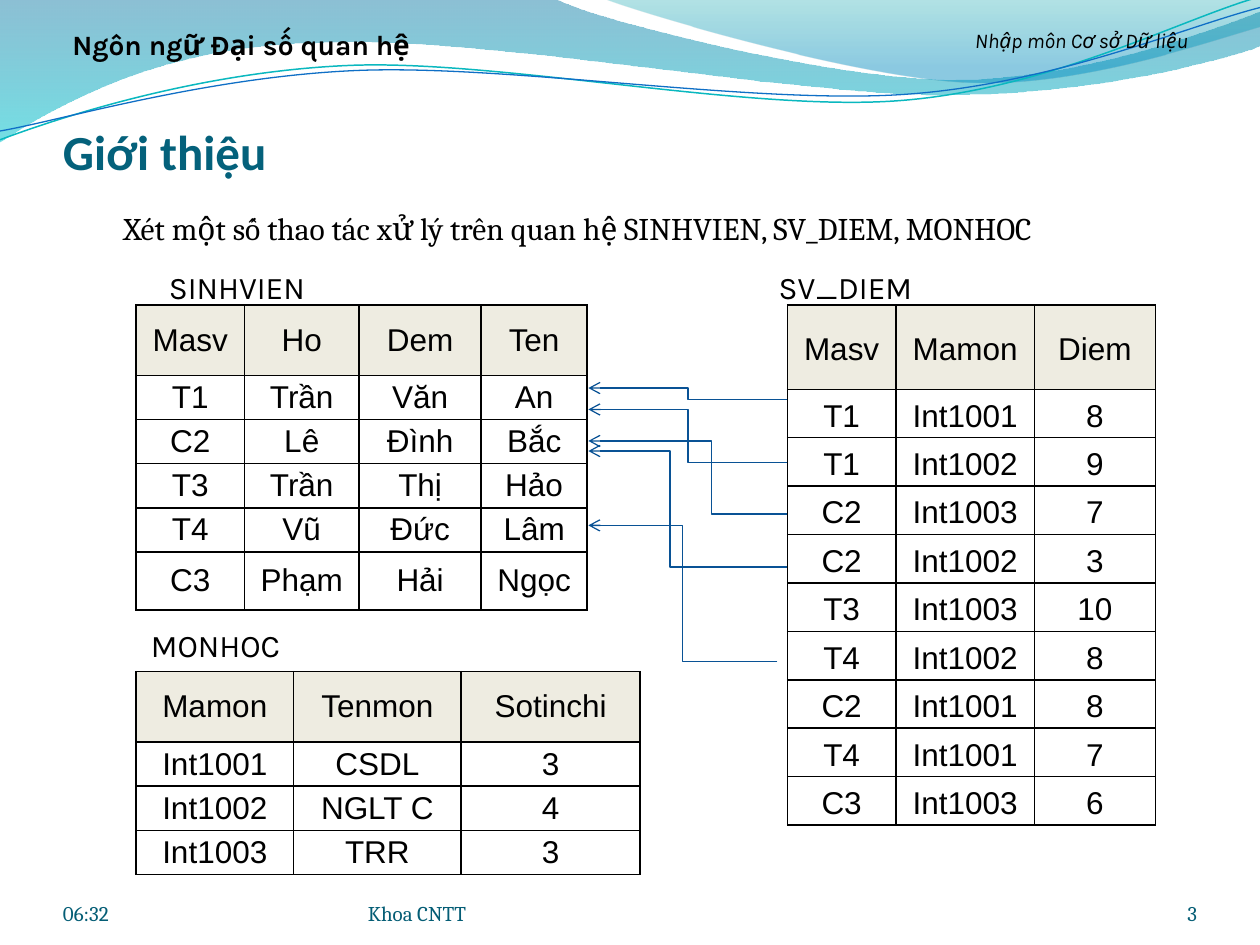
import lxml.etree
import pptx
import pptx.dml.color
import pptx.enum.shapes
import pptx.enum.text
import pptx.oxml.ns
import pptx.util

Inches = pptx.util.Inches
Pt = pptx.util.Pt
qn = pptx.oxml.ns.qn
Align = pptx.enum.text.PP_ALIGN
Anchor = pptx.enum.text.MSO_ANCHOR

COLORS = {
    "text": "000000", "title": "04617B", "footer": "045D75", "header": "EEECE1",
    "arrow": "095295", "teal": "0AB8BF", "blue": "0F6FC6",
    "wave_blue": "0074A1", "wave_cyan": "00C6CF", "crest_teal": "00A1A9", "crest_blue": "008BBF",
}
UNITS_PER_INCH = 100


def to_units(point):
    return tuple(round(value * UNITS_PER_INCH) for value in point)


class SlideBuilder:
    def __init__(self, slide, colors):
        self.slide = slide
        self.colors = colors

    def color(self, name):
        return pptx.dml.color.RGBColor.from_string(self.colors[name])

    def style(self, paragraph, size, font, color="text", bold=False, italic=False, align=Align.LEFT):
        paragraph.alignment = align
        paragraph.font.size = Pt(size)
        paragraph.font.name = font
        paragraph.font.bold = bold
        paragraph.font.italic = italic
        paragraph.font.color.rgb = self.color(color)

    def text(self, text, box, size, font, insets=(0.1, 0.05, 0.1, 0.05), anchor=Anchor.TOP, **style):
        shape = self.slide.shapes.add_textbox(*map(Inches, box))
        frame = shape.text_frame
        frame.word_wrap = True
        frame.vertical_anchor = anchor
        frame.margin_left, frame.margin_top, frame.margin_right, frame.margin_bottom = map(Inches, insets)
        frame.text = text
        self.style(frame.paragraphs[0], size, font, **style)

    def freeform(self, start, segments, closed):
        origin = to_units(start)
        ends = [to_units(segment[-1]) for segment in segments]
        builder = self.slide.shapes.build_freeform(*origin, scale=Inches(1) / UNITS_PER_INCH)
        builder.add_line_segments(ends, close=closed)
        shape = builder.convert_to_shape()
        shape.shadow.inherit = False
        left, top = (min(values) for values in zip(origin, *ends))
        for line, segment in zip(list(shape._element.iter(qn("a:lnTo"))), segments):
            if len(segment) == 3:
                curve = lxml.etree.Element(qn("a:cubicBezTo"))
                for x, y in map(to_units, segment):
                    lxml.etree.SubElement(curve, qn("a:pt"), x=str(x - left), y=str(y - top))
                line.getparent().replace(line, curve)
        return shape

    def wave(self, start, segments, stops):
        shape = self.freeform(start, segments, True)
        shape.line.fill.background()
        shape.fill.gradient()
        shape.fill.gradient_angle = 270
        for stop, (position, color, _) in zip(shape.fill.gradient_stops, stops):
            stop.position = position
            stop.color.rgb = self.color(color)
        for element, (_, _, opacity) in zip(shape._element.iter(qn("a:srgbClr")), stops):
            lxml.etree.SubElement(element, qn("a:alpha"), val=str(opacity * 1000))

    def curve(self, start, segments, color, width):
        shape = self.freeform(start, segments, False)
        shape.fill.background()
        shape.line.color.rgb = self.color(color)
        shape.line.width = Pt(width)

    def border(self, cell):
        properties = cell._tc.get_or_add_tcPr()
        for index, side in enumerate(("L", "R", "T", "B")):
            line = lxml.etree.Element(qn(f"a:ln{side}"), w=str(Pt(1)))
            fill = lxml.etree.SubElement(line, qn("a:solidFill"))
            lxml.etree.SubElement(fill, qn("a:srgbClr"), val=self.colors["text"])
            properties.insert(index, line)

    def table(self, left, top, widths, heights, rows, line_spacing=1.0):
        frame = self.slide.shapes.add_table(len(rows), len(widths), Inches(left), Inches(top),
                                            Inches(sum(widths)), Inches(sum(heights)))
        table = frame.table
        table.first_row = table.horz_banding = False
        for column, width in zip(table.columns, widths):
            column.width = Inches(width)
        for row_index, (row, height, values) in enumerate(zip(table.rows, heights, rows)):
            row.height = Inches(height)
            for cell, value in zip(row.cells, values):
                cell.text = value
                cell.vertical_anchor = Anchor.MIDDLE
                cell.margin_left = cell.margin_right = Inches(0.07)
                cell.margin_top = cell.margin_bottom = 0
                paragraph = cell.text_frame.paragraphs[0]
                self.style(paragraph, 18, "Arial", align=Align.CENTER)
                paragraph.line_spacing = line_spacing
                if row_index == 0:
                    cell.fill.solid()
                    cell.fill.fore_color.rgb = self.color("header")
                else:
                    cell.fill.background()
                self.border(cell)

    def arrow(self, start, end, bend):
        connector = self.slide.shapes.add_connector(
            pptx.enum.shapes.MSO_CONNECTOR.ELBOW, *map(Inches, (*start, *end)))
        connector.line.color.rgb = self.color("arrow")
        connector.line.width = Pt(0.75)
        properties = connector._element.spPr
        guides = properties.find(qn("a:prstGeom")).get_or_add_avLst()
        lxml.etree.SubElement(guides, qn("a:gd"), name="adj1", fmla=f"val {round(bend * 100000)}")
        lxml.etree.SubElement(connector.line._get_or_add_ln(), qn("a:tailEnd"), type="arrow")
        lxml.etree.SubElement(properties, qn("a:effectLst"))


def main():
    presentation = pptx.Presentation()
    presentation.slide_width, presentation.slide_height = Inches(10), Inches(7.5)
    builder = SlideBuilder(presentation.slides.add_slide(presentation.slide_layouts[6]), COLORS)

    builder.wave((0, -0.01), (
        ((4.4, -0.01),),
        ((4.76, 0.17), (6.64, 0.63), (7.58, 0.63)), ((8.53, 0.63), (9.58, 0.26), (10, 0.09)),
        ((10.01, 0.36),),
        ((9.83, 0.44), (8.7, 0.76), (7.46, 0.75)), ((6.22, 0.75), (3.82, 0.28), (2.57, 0.34)),
        ((1.29, 0.35), (0.46, 0.83), (-0.01, 1.13))),
        ((0, "wave_blue", 45), (1, "wave_cyan", 55)))
    builder.wave((4.79, -0.01), (
        ((5.09, 0.11), (6.82, 0.62), (7.69, 0.65)), ((8.56, 0.69), (9.61, 0.32), (10, 0.21)),
        ((10, 0),)),
        ((0, "crest_teal", 30), (0.8, "crest_blue", 45)))
    builder.curve((0, 1.11), (
        ((0.48, 0.93), (1.58, 0.57), (2.77, 0.52)), ((3.95, 0.47), (5.93, 0.89), (7.13, 0.8)),
        ((8.33, 0.71), (9.38, 0.15), (9.98, -0.02))), "teal", 0.85)
    builder.curve((0, 1.04), (
        ((0.47, 0.96), (1.64, 0.61), (2.83, 0.56)), ((4.03, 0.51), (5.97, 0.83), (7.17, 0.75)),
        ((8.36, 0.67), (9.41, 0.21), (10, 0.06))), "blue", 0.75)

    builder.text("Giới thiệu", (0.5, 0.75, 9, 0.68), 28, "Calibri", insets=(0, 0.05, 0, 0),
                 anchor=Anchor.BOTTOM, color="title", bold=True)
    builder.text("Xét một số thao tác xử lý trên quan hệ SINHVIEN, SV_DIEM, MONHOC",
                 (0.58, 1.5, 9, 0.67), 18, "Cambria", insets=(0.4, 0.16, 0.1, 0.05))
    for text, left, width, align in (("06:32", 0.5, 2.33, Align.LEFT), ("3", 8.67, 0.83, Align.RIGHT),
                                     ("Khoa CNTT", 2.92, 3.67, Align.LEFT)):
        builder.text(text, (left, 6.95, width, 0.4), 12, "Cambria", insets=(0, 0, 0, 0),
                     anchor=Anchor.BOTTOM, color="footer", align=align)
    builder.text("Nhập môn Cơ sở Dữ liệu", (7.17, 0.17, 2.83, 0.38), 12, "Karla",
                 italic=True, align=Align.CENTER)
    builder.text("Ngôn ngữ Đại số quan hệ", (0.25, 0.17, 3.33, 0.37), 16, "Karla",
                 bold=True, align=Align.CENTER)

    builder.table(1.08, 2.42, (0.86, 0.91, 0.97, 0.84), (0.56, *[0.35] * 4, 0.46), (
        ("Masv", "Ho", "Dem", "Ten"),
        ("T1", "Trần", "Văn", "An"),
        ("C2", "Lê", "Đình", "Bắc"),
        ("T3", "Trần", "Thị", "Hảo"),
        ("T4", "Vũ", "Đức", "Lâm"),
        ("C3", "Phạm", "Hải", "Ngọc")))
    builder.table(6.25, 2.42, (0.86, 1.1, 0.96), (0.67, *[(4.13 - 0.67) / 9] * 9), (
        ("Masv", "Mamon", "Diem"),
        ("T1", "Int1001", "8"),
        ("T1", "Int1002", "9"),
        ("C2", "Int1003", "7"),
        ("C2", "Int1002", "3"),
        ("T3", "Int1003", "10"),
        ("T4", "Int1002", "8"),
        ("C2", "Int1001", "8"),
        ("T4", "Int1001", "7"),
        ("C3", "Int1003", "6")), line_spacing=1.15)
    builder.table(1.08, 5.33, (1.25, 1.33, 1.42), (0.56, *[0.35] * 3), (
        ("Mamon", "Tenmon", "Sotinchi"),
        ("Int1001", "CSDL", "3"),
        ("Int1002", "NGLT C", "4"),
        ("Int1003", "TRR", "3")))
    for name, left, top in (("SINHVIEN", 1.17, 2.08), ("SV_DIEM", 6, 2.08), ("MONHOC", 1, 4.92)):
        builder.text(name, (left, top, 1.42, 0.4), 18, "Karla", align=Align.CENTER)

    for start_x, start_y, end_y, bend in ((6.25, 3.17, 3.08, 0.5), (6.25, 3.67, 3.25, 0.5),
                                          (6.25, 4.08, 3.5, 0.38), (6.25, 4.5, 3.58, 0.59),
                                          (6.17, 5.25, 4.17, 0.5)):
        builder.arrow((start_x, start_y), (4.67, end_y), bend)

    presentation.save("out.pptx")


if __name__ == "__main__":
    main()
